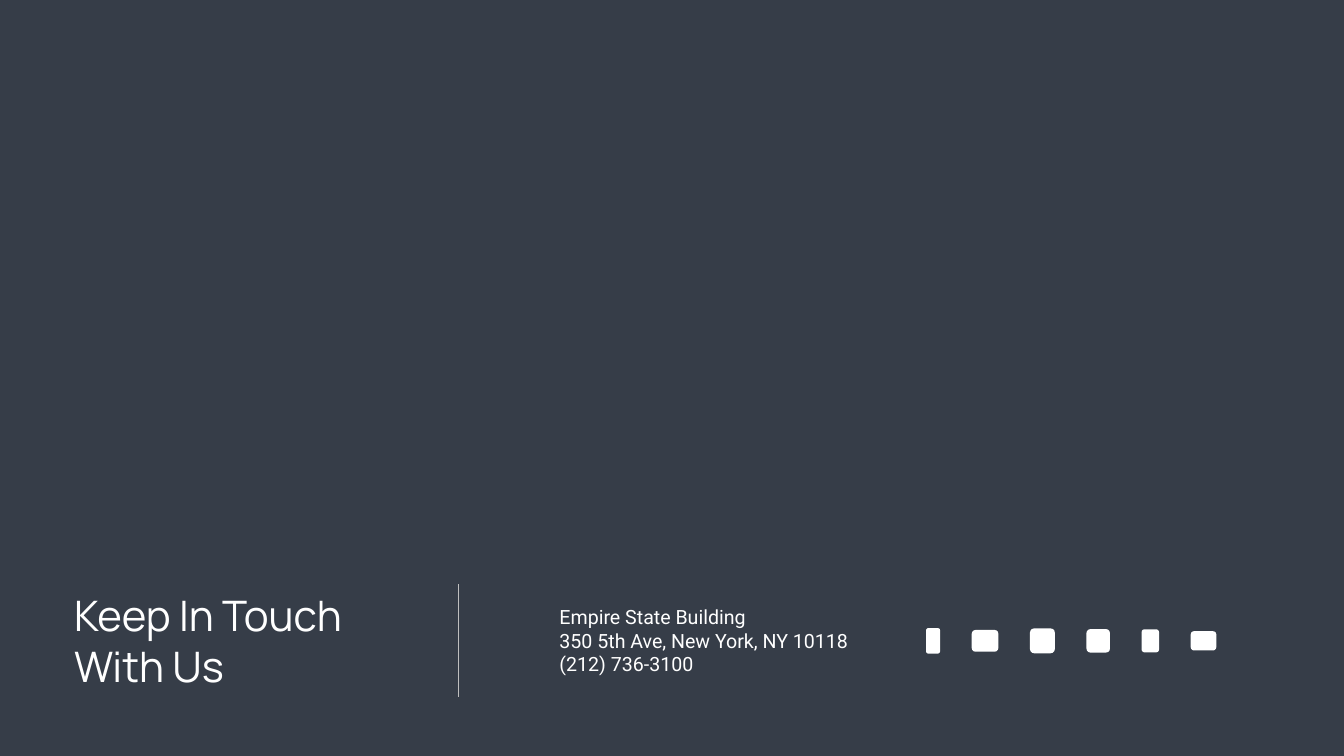
from dataclasses import dataclass

from pptx import Presentation
from pptx.dml.color import RGBColor
from pptx.enum.shapes import MSO_CONNECTOR, MSO_SHAPE
from pptx.enum.text import MSO_AUTO_SIZE
from pptx.oxml.ns import qn
from pptx.slide import Slide
from pptx.util import Pt

ROUNDED = MSO_SHAPE.ROUNDED_RECTANGLE
STRAIGHT = MSO_CONNECTOR.STRAIGHT
GROW = MSO_AUTO_SIZE.SHAPE_TO_FIT_TEXT

BACKGROUND = "363D48"
WHITE = "FFFFFF"
RULE_GREY = "BFBFBF"


@dataclass
class TextBlock:
    left: float
    top: float
    width: float
    height: float
    text: str
    font: str
    size: float
    wrap: bool


@dataclass
class SocialMark:
    width: float
    height: float


HEADING = TextBlock(98.64, 838.8, 469.44, 152.64,
                    "Keep In Touch With Us", "Manrope", 60, True)
ADDRESS = TextBlock(792, 861.12, 429.84, 108.72,
                    "Empire State Building\n350 5th Ave, New York, NY 10118\n(212) 736-3100",
                    "Roboto", 28, False)

# Social marks, left to right, on one centre line with equal gaps
MARKS = [SocialMark(20, 36.5), SocialMark(38, 31), SocialMark(35.5, 35.5),
         SocialMark(33.5, 33.5), SocialMark(25, 33), SocialMark(36.5, 27.5)]
MARKS_LEFT = 1322.64
MARKS_MIDDLE = 915.5
MARKS_GAP = 45.2


def rgb(hex_colour: str) -> RGBColor:
    return RGBColor.from_string(hex_colour)


def draw_text(slide: Slide, block: TextBlock) -> None:
    box = slide.shapes.add_textbox(Pt(block.left), Pt(block.top),
                                   Pt(block.width), Pt(block.height))
    frame = box.text_frame
    frame.text = block.text
    frame.word_wrap = block.wrap
    frame.auto_size = GROW
    for paragraph in frame.paragraphs:
        for run in paragraph.runs:
            run.font.name = block.font
            run.font.size = Pt(block.size)
            run.font.color.rgb = rgb(WHITE)


def draw_mark(slide: Slide, mark: SocialMark, left: float) -> None:
    plain = slide.shapes.add_shape(ROUNDED, Pt(left), Pt(MARKS_MIDDLE - mark.height / 2),
                                   Pt(mark.width), Pt(mark.height))
    plain.shadow.inherit = False
    plain.fill.solid()
    plain.fill.fore_color.rgb = rgb(WHITE)
    plain.line.fill.background()


def draw_divider(slide: Slide, x: float, top: float, bottom: float) -> None:
    divider = slide.shapes.add_connector(STRAIGHT, Pt(x), Pt(top), Pt(x), Pt(bottom))
    divider.line.color.rgb = rgb(RULE_GREY)
    divider.line.width = Pt(0.5)
    properties = divider.element.spPr
    properties.append(properties.makeelement(qn("a:effectLst"), {}))


def main() -> None:
    deck = Presentation()
    deck.slide_width = Pt(1919.52)
    deck.slide_height = Pt(1080)
    slide = deck.slides.add_slide(deck.slide_layouts[6])
    slide.background.fill.solid()
    slide.background.fill.fore_color.rgb = rgb(BACKGROUND)

    # Social marks
    left = MARKS_LEFT
    for mark in MARKS:
        draw_mark(slide, mark, left)
        left += mark.width + MARKS_GAP

    # Address, divider and heading
    draw_text(slide, ADDRESS)
    draw_divider(slide, 654.48, 834.48, 995.76)
    draw_text(slide, HEADING)

    deck.save("out.pptx")


if __name__ == "__main__":
    main()
